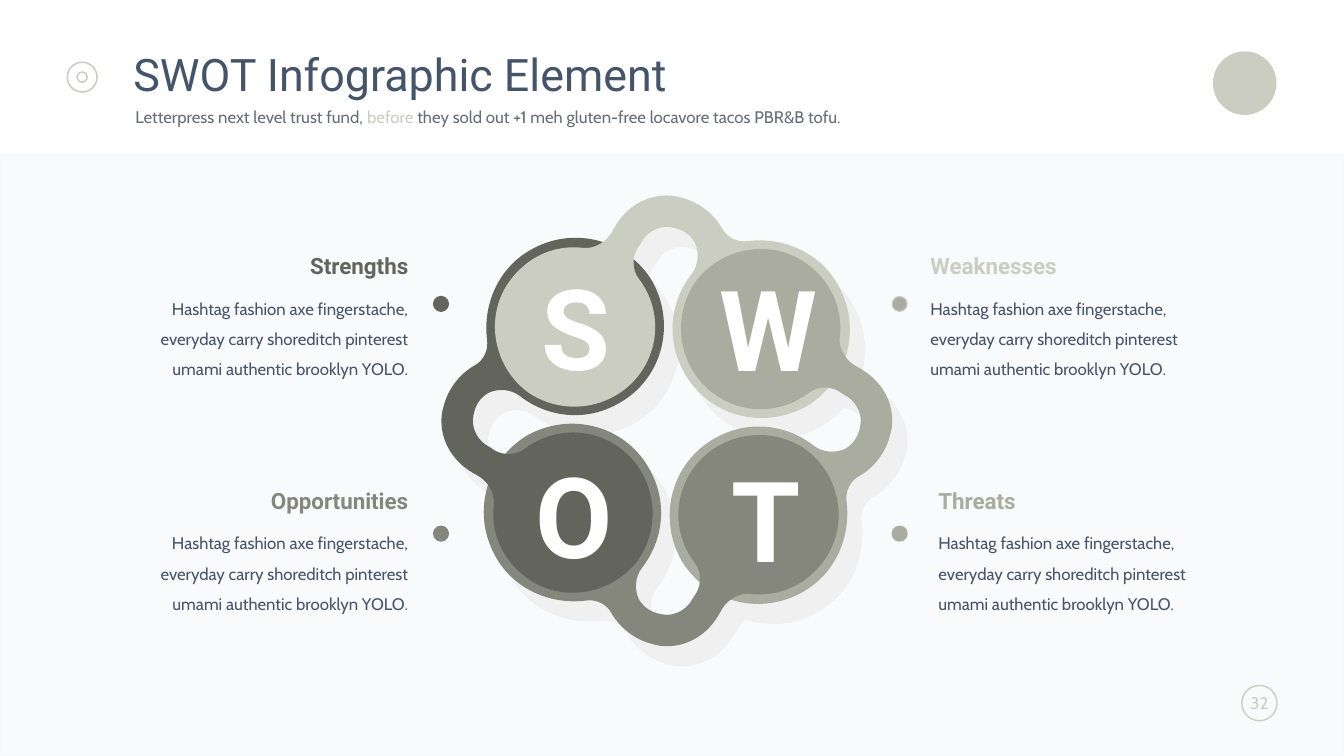
import pptx
import pptx.util
import pptx.oxml
import pptx.oxml.ns
import pptx.dml.color
import pptx.enum.shapes
import pptx.enum.text

Pt = pptx.util.Pt
SHAPE = pptx.enum.shapes.MSO_SHAPE
ALIGN = pptx.enum.text.PP_ALIGN
ANCHOR = pptx.enum.text.MSO_ANCHOR
qn = pptx.oxml.ns.qn
NS = 'xmlns:a="http://schemas.openxmlformats.org/drawingml/2006/main"'

COLORS = {
    "navy": "44546A", "slate": "656D78", "white": "FFFFFF",
    "light": "CBCDC0", "medium": "AAAC9F", "deep": "85877C", "dark": "63645C",
    "shadow": "F0F0F0", "panel": "7B8DB3", "edge": "EBEBEB",
}
BLURB = ("Hashtag fashion axe fingerstache, everyday carry shoreditch "
         "pinterest umami authentic brooklyn YOLO.")

# Top link of the chain, relative to the centre of the wheel.
# Each row is a Bezier segment: two control points and an end point.
RING_START = (0, -161)
RING = [
    (3.5, -161, 7, -160.5, 10, -159.5),
    (22, -156.6, 32.8, -148.7, 39.2, -137.9),
    (42.8, -130.7, 50.8, -127.1, 58.7, -128.5),
    (84.6, -131.4, 111.2, -119.2, 123.5, -94.7),
    (139.3, -64.4, 128.5, -27.7, 99.7, -10.4),
    (68.8, 6.8, 29.9, -3.2, 12.6, -34.2),
    (-1.1, -58, 2.5, -85.3, 17.6, -104.8),
    (22.7, -111.2, 23.4, -120.6, 19.8, -127.8),
    (16.2, -133.6, 10.4, -137.9, 0, -138.6),
]
DISC_START = (0, -138.6)
DISC = [
    (-6.8, -138.6, -14.8, -134.3, -18.4, -127.1),
    (-18.4, -127.1, -21.2, -122.8, -21.2, -122.8),
    (-24.8, -116.3, -24.8, -107.6, -19.8, -101.2),
    (-6.1, -83.2, -4, -58, -16.9, -37.1),
    (-34.2, -9.7, -70.9, -1.8, -98.3, -19.8),
    (-122, -36.4, -130, -69.5, -115.6, -94.7),
    (-103.3, -115.6, -81.7, -126.4, -59.4, -123.5),
    (-52.2, -122.8, -44.3, -127.1, -40, -133.6),
    (-40, -133.6, -37.1, -138.6, -37.1, -138.6),
    (-29.2, -152.3, -15.5, -161, 0, -161),
]


def rgb(name):
    return pptx.dml.color.RGBColor.from_string(COLORS[name])


def paint(sp, fill=None, line=None, width=1):
    sp.shadow.inherit = False
    if fill:
        sp.fill.solid()
        sp.fill.fore_color.rgb = rgb(fill)
    else:
        sp.fill.background()
    if line:
        sp.line.color.rgb = rgb(line)
        sp.line.width = Pt(width)
    else:
        sp.line.fill.background()


def add_preset(s, kind, x, y, w, h, **look):
    sp = s.shapes.add_shape(kind, Pt(x), Pt(y), Pt(w), Pt(h))
    paint(sp, **look)
    return sp


def set_alpha(color_parent, percent):
    color = color_parent.find(".//" + qn("a:srgbClr"))
    color.append(pptx.oxml.parse_xml(f'<a:alpha {NS} val="{percent * 1000}"/>'))


def write(tf, runs, size, font, align=ALIGN.LEFT, bold=False, spacing=1.0,
          anchor=ANCHOR.MIDDLE, inset=0, wrap=True):
    tf.word_wrap = wrap
    tf.auto_size = pptx.enum.text.MSO_AUTO_SIZE.NONE
    tf.vertical_anchor = anchor
    tf.margin_left = tf.margin_right = Pt(inset)
    tf.margin_top = tf.margin_bottom = Pt(inset / 2)
    p = tf.paragraphs[0]
    p.alignment = align
    p.line_spacing = spacing
    p.space_before = Pt(0)
    for text, color in runs:
        r = p.add_run()
        r.text = text
        r.font.size = Pt(size)
        r.font.name = font
        r.font.bold = bold
        r.font.color.rgb = rgb(color)
    return p


def add_text(s, x, y, w, h, *args, **style):
    sp = s.shapes.add_textbox(Pt(x), Pt(y), Pt(w), Pt(h))
    write(sp.text_frame, *args, **style)


def place(sp, x, y, w, h):
    sp.left, sp.top, sp.width, sp.height = Pt(x), Pt(y), Pt(w), Pt(h)


def add_header(s, x, y, w):
    # Target icon: two concentric circles
    for d in (21.3, 7.2):
        add_preset(s, SHAPE.OVAL, x + 10.9 - d / 2, y + 19.1 - d / 2, d, d,
                   line="light", width=1.1)
    # Plain emblem at the right end
    add_preset(s, SHAPE.OVAL, x + w - 45.4, y + 0.7, 45.4, 45.4, fill="light")
    # Title and subtitle
    title, body = s.shapes.title, s.placeholders[1]
    place(title, x + 40.2, y, 725, 38.2)
    write(title.text_frame, [("SWOT Infographic Element", "navy")],
          32, "Roboto", spacing=0.9, inset=7.2)
    place(body, x + 41.7, y + 38.2, 723.6, 20.9)
    p = write(body.text_frame, [
        ("Letterpress next level trust fund, ", "slate"),
        ("before", "light"),
        (" they sold out +1 meh gluten-free locavore tacos PBR&B tofu.", "slate"),
    ], 12, "Cabin", spacing=0.9, inset=7.2)
    pPr = p._p.get_or_add_pPr()
    pPr.set("marL", "0")
    pPr.set("indent", "0")
    pPr.append(pptx.oxml.parse_xml(f"<a:buNone {NS}/>"))


def add_panel(s, x, y, w, h):
    sp = add_preset(s, SHAPE.RECTANGLE, x, y, w, h,
                    fill="panel", line="edge", width=2)
    spPr = sp._element.spPr
    set_alpha(spPr.find(qn("a:solidFill")), 4)
    set_alpha(spPr.find(qn("a:ln")), 10)


def add_page_number(s, x, y, d):
    sp = add_preset(s, SHAPE.OVAL, x, y, d, d, line="light")
    write(sp.text_frame, [("32", "light")], 12, "Cabin", ALIGN.CENTER, wrap=False)


def add_block(s, x, y, w, heading, color, align, dot, dot_fill, dot_line):
    add_text(s, x, y, w, 21, [(heading, color)], 16, "Roboto", align, bold=True)
    add_text(s, x, y + 26.6, w, 63.4, [(BLURB, "navy")], 12, "Cabin", align,
             spacing=1.5, anchor=ANCHOR.TOP)
    dx, dy = dot
    add_preset(s, SHAPE.OVAL, x + dx, y + dy, 10.8, 10.8,
               fill=dot_fill, line=dot_line, width=0.75)


def add_link(s, cx, cy, start, segments, quarter_turns, color):
    def turn(x, y):
        for _ in range(quarter_turns):
            x, y = -y, x
        return Pt(cx + x), Pt(cy + y)

    curves = [[turn(*row[i:i + 2]) for i in (0, 2, 4)] for row in segments]
    fb = s.shapes.build_freeform(*turn(*start), scale=1.0)
    fb.add_line_segments([curve[-1] for curve in curves], close=True)
    sp = fb.convert_to_shape()
    paint(sp, fill=color)
    # Bend each straight side into its curve
    sides = list(sp._element.spPr.iter(qn("a:lnTo")))
    for side, curve in zip(sides, curves):
        pts = "".join(f'<a:pt x="{x - sp.left}" y="{y - sp.top}"/>' for x, y in curve)
        bezier = pptx.oxml.parse_xml(f"<a:cubicBezTo {NS}>{pts}</a:cubicBezTo>")
        side.getparent().replace(side, bezier)


def add_wheel(s, cx, cy):
    ring, disc = (RING_START, RING), (DISC_START, DISC)
    link = (RING_START, RING + DISC)
    # Shadow: the whole chain, shifted down and right
    for turns in range(4):
        add_link(s, cx + 10.8, cy + 14.4, *link, turns, "shadow")
    # The bottom link is split so that the chain interlocks
    for part, turns, color in [(ring, 2, "deep"), (link, 3, "dark"),
                               (link, 0, "light"), (link, 1, "medium"),
                               (disc, 2, "deep")]:
        add_link(s, cx, cy, *part, turns, color)
    for letter, dx, dy in [("S", -65, -67.7), ("W", 73, -67),
                           ("O", -66.2, 66.2), ("T", 71.3, 69.1)]:
        add_text(s, cx + dx - 50, cy + dy - 52, 100, 104, [(letter, "white")],
                 80, "Roboto", ALIGN.CENTER, bold=True, wrap=False)


def main():
    prs = pptx.Presentation()
    prs.slide_width, prs.slide_height = Pt(960), Pt(540)
    s = prs.slides.add_slide(prs.slide_layouts[1])
    add_panel(s, 0, 110.2, 960, 430)
    add_header(s, 47.8, 36, 864)
    add_page_number(s, 887, 489.6, 25.2)
    left, right = ALIGN.RIGHT, ALIGN.LEFT
    for block in [
        (108.7, 179.3, 183, "Strengths", "dark", left, (200.9, 32.4), "dark", "dark"),
        (664.6, 179.3, 186, "Weaknesses", "light", right, (-27.4, 32.4), "medium", "light"),
        (108.7, 347, 183, "Opportunities", "deep", left, (200.9, 28.8), "deep", "deep"),
        (670.3, 347, 186, "Threats", "medium", right, (-33.1, 28.8), "medium", "medium"),
    ]:
        add_block(s, *block)
    add_wheel(s, 476.3, 300.6)
    prs.save("out.pptx")


if __name__ == "__main__":
    main()
